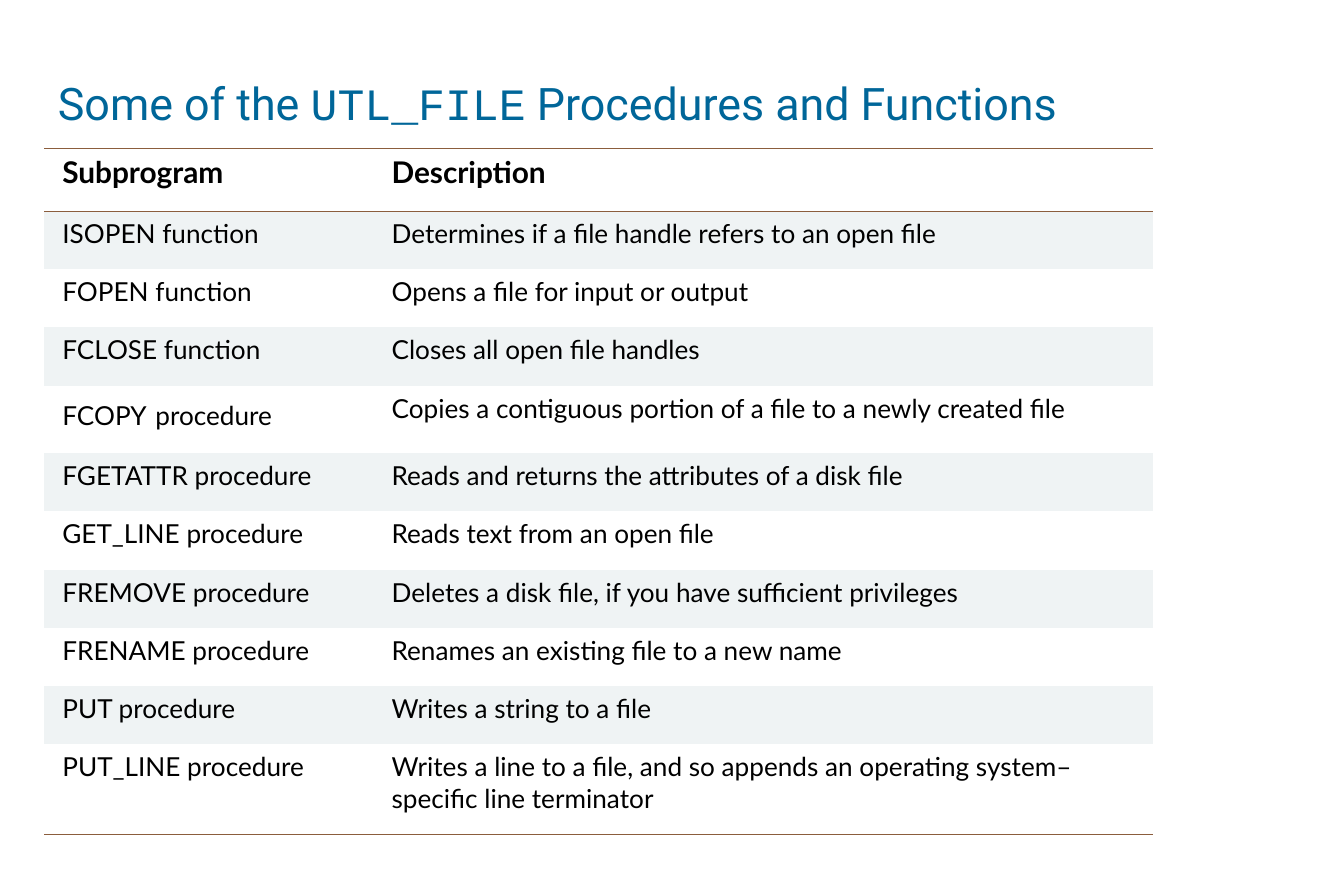
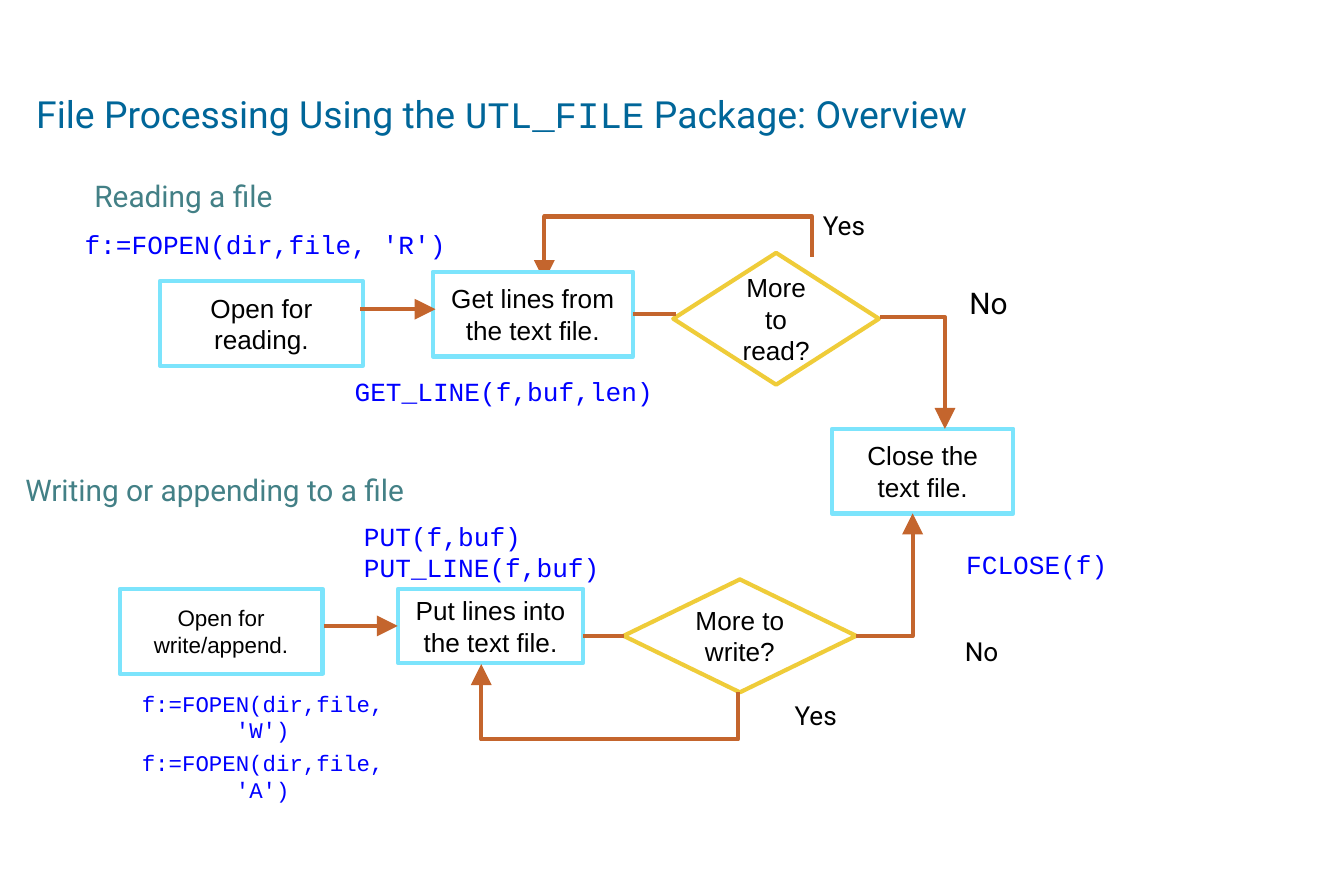
from dataclasses import dataclass

from lxml import etree
from pptx import Presentation
from pptx.dml.color import RGBColor
from pptx.enum.shapes import MSO_CONNECTOR, MSO_SHAPE
from pptx.enum.text import MSO_ANCHOR, MSO_AUTO_SIZE, PP_ALIGN
from pptx.oxml.ns import qn
from pptx.util import Pt

RECT, CHOICE = MSO_SHAPE.RECTANGLE, MSO_SHAPE.FLOWCHART_DECISION
STRAIGHT = MSO_CONNECTOR.STRAIGHT
LEFT, CENTER = PP_ALIGN.LEFT, PP_ALIGN.CENTER
MIDDLE = MSO_ANCHOR.MIDDLE
NO_FIT, GROW = MSO_AUTO_SIZE.NONE, MSO_AUTO_SIZE.SHAPE_TO_FIT_TEXT
SIDE_LEFT, SIDE_RIGHT = 1, 3
PLAIN_TABLE = "{2D5ABB26-0587-4C30-8999-92F81FD0307C}"


@dataclass(frozen=True)
class Theme:
    title: str = "006699"
    head: str = "438086"
    code: str = "0000FF"
    ink: str = "000000"
    paper: str = "FFFFFF"
    band: str = "EFF3F4"
    rule: str = "8B5D3D"
    step: str = "7CE4FC"
    choice: str = "EFCC39"
    arrow: str = "C4652D"
    sans: str = "Roboto"
    cell: str = "Lato"
    shape: str = "Arial"
    mono: str = "Courier New"
    small: float = 12
    body: float = 14
    large: float = 16
    wide: float = 18
    stroke: float = 2.25
    hair: float = 0.45


T = Theme()

TABLE = [
    ("Subprogram", "Description"),
    ("ISOPEN function", "Determines if a file handle refers to an open file"),
    ("FOPEN function", "Opens a file for input or output"),
    ("FCLOSE function", "Closes all open file handles"),
    ("FCOPY procedure",
     "Copies a contiguous portion of a file to a newly created file"),
    ("FGETATTR procedure", "Reads and returns the attributes of a disk file"),
    ("GET_LINE procedure", "Reads text from an open file"),
    ("FREMOVE procedure",
     "Deletes a disk file, if you have sufficient privileges"),
    ("FRENAME procedure", "Renames an existing file to a new name"),
    ("PUT procedure", "Writes a string to a file"),
    ("PUT_LINE procedure",
     "Writes a line to a file, and so appends an operating "
     "system–specific line terminator"),
]
HEIGHTS = {0: 33.8, 4: 36.2, 10: 48.5}
ROW = 31.2
COLS = (176.4, 417.6)


def rgb(code):
    return RGBColor.from_string(code)


def style(para, font, size, color, bold=False):
    for run in para.runs:
        run.font.name = font
        run.font.size = Pt(size)
        run.font.color.rgb = rgb(color)
        run.font.bold = bold


def place(box, x, y, w, h):
    """Turn a spot inside a box into slide lengths."""
    return Pt(box[0] + x), Pt(box[1] + y), Pt(w), Pt(h)


def title(slide, box, parts, size):
    """Fill the title; every second part is set as code."""
    shape = slide.shapes.title
    shape.left, shape.top, shape.width, shape.height = map(Pt, box)
    frame = shape.text_frame
    frame.auto_size, frame.vertical_anchor = NO_FIT, MIDDLE
    para = frame.paragraphs[0]
    para.alignment = LEFT
    for text in parts:
        para.add_run().text = text
    style(para, T.sans, size, T.title)
    for run in para.runs[1::2]:
        run.font.name = T.mono


def border(cell, tag):
    props = cell._tc.get_or_add_tcPr()
    line = etree.SubElement(props, qn(tag), w=str(Pt(T.hair)))
    fill = etree.SubElement(line, qn("a:solidFill"))
    etree.SubElement(fill, qn("a:srgbClr"), val=T.rule)


def fill_cell(cell, text, row, last):
    cell.margin_left = cell.margin_right = Pt(9.6)
    cell.margin_top = cell.margin_bottom = Pt(3.6)
    if row == 0:
        border(cell, "a:lnT")
    if row in (0, last):
        border(cell, "a:lnB")
    if row % 2:
        cell.fill.solid()
        cell.fill.fore_color.rgb = rgb(T.band)
    else:
        cell.fill.background()
    para = cell.text_frame.paragraphs[0]
    para.text = text
    style(para, T.cell, T.body if row else T.large, T.ink, row == 0)


def widen(para):
    """Enlarge the space between the two words of a cell."""
    first, last = para.text.split()
    para.text = first
    for text in (" ", last):
        para.add_run().text = text
    style(para, T.cell, T.body, T.ink)
    para.runs[1].font.size = Pt(T.wide)


def table(slide, box):
    frame = slide.shapes.add_table(len(TABLE), len(COLS), *map(Pt, box))
    grid = frame.table
    grid.first_row = grid.horz_banding = False
    grid._tbl.tblPr.find(qn("a:tableStyleId")).text = PLAIN_TABLE
    for col, width in zip(grid.columns, COLS):
        col.width = Pt(width)
    for r, texts in enumerate(TABLE):
        grid.rows[r].height = Pt(HEIGHTS.get(r, ROW))
        for c, text in enumerate(texts):
            fill_cell(grid.cell(r, c), text, r, len(TABLE) - 1)
    widen(grid.cell(4, 0).text_frame.paragraphs[0])


def node(slide, spot, text, kind=RECT, size=T.body):
    shape = slide.shapes.add_shape(kind, *spot)
    shape.shadow.inherit = False
    shape.fill.solid()
    shape.fill.fore_color.rgb = rgb(T.paper)
    shape.line.color.rgb = rgb(T.choice if kind == CHOICE else T.step)
    shape.line.width = Pt(T.stroke)
    frame = shape.text_frame
    frame.word_wrap, frame.vertical_anchor = True, MIDDLE
    para = frame.paragraphs[0]
    para.text = text
    para.alignment = CENTER
    style(para, T.shape, size, T.ink)
    return shape


def label(slide, spot, lines, font=T.sans, size=T.body, color=T.ink,
          align=CENTER, wrap=False):
    frame = slide.shapes.add_textbox(*spot).text_frame
    frame.text = lines
    frame.word_wrap, frame.auto_size = wrap, GROW
    for i, para in enumerate(frame.paragraphs):
        para.alignment = align
        if i:
            para.space_before = Pt(3)
        style(para, font, size, color)


def code(slide, spot, lines, **look):
    label(slide, spot, lines, T.mono, color=T.code, **look)


def head(slide, spot, text, align=CENTER):
    label(slide, spot, text, size=T.large, color=T.head, align=align)


def ink(shape, tip):
    shape.line.color.rgb = rgb(T.arrow)
    shape.line.width = Pt(T.stroke)
    if tip:
        line = shape._element.spPr.find(qn("a:ln"))
        etree.SubElement(line, qn("a:tailEnd"),
                         type="triangle", w="lg", len="lg")


def link(slide, box, x, y, end, tip=False):
    """Draw a level connector from x to end."""
    left, top, right, _ = place(box, x, y, box[0] + end, 0)
    line = slide.shapes.add_connector(STRAIGHT, left, top, right, top)
    ink(line, tip)
    etree.SubElement(line._element.spPr, qn("a:effectLst"))
    return line


def route(slide, box, *points):
    """Draw a bent arrow through the points."""
    spots = [place(box, x, y, 0, 0)[:2] for x, y in points]
    pen = slide.shapes.build_freeform(*spots[0])
    pen.add_line_segments(spots[1:], close=False)
    shape = pen.convert_to_shape()
    shape.shadow.inherit = False
    shape.fill.background()
    ink(shape, True)


def read_lane(slide, box):
    head(slide, place(box, 4.3, 1.4, 115.9, 26.6), "Reading a file")
    code(slide, place(box, 0.7, 28.8, 211, 24.5), "f:=FOPEN(dir,file, 'R')")
    route(slide, box, (398.9, 47.5), (398.9, 25.9), (255.6, 25.9),
          (255.6, 60.5))
    node(slide, place(box, 49.7, 60.5, 108.7, 45.4), "Open for\vreading.")
    get = node(slide, place(box, 195.8, 55.5, 107.3, 45.5),
               "Get lines from\vthe text file.")
    node(slide, place(box, 324.7, 45.4, 110.2, 70.6), "More to read?", CHOICE)
    link(slide, box, 157, 75.6, 197.3, True)
    link(slide, box, 303.1, 78.25, 326.2).begin_connect(get, SIDE_RIGHT)
    code(slide, place(box, 145, 107.3, 178, 24.5), "GET_LINE(f,buf,len)")
    label(slide, place(box, 397.4, 18.7, 37.4, 23.8), "Yes")


def write_lane(slide, box):
    head(slide, place(box, 6.5, 4.1, 234.7, 26.6),
         "Writing or appending to a file", LEFT)
    code(slide, place(box, 187.9, 30, 145, 41),
         "PUT(f,buf)\vPUT_LINE(f,buf)", align=LEFT)
    node(slide, place(box, 64.1, 70.4, 108.7, 45.4),
         "Open for\vwrite/append.", size=T.small)
    put = node(slide, place(box, 213.1, 70.4, 99.4, 39.6),
               "Put lines into\vthe text file.")
    more = node(slide, place(box, 334.1, 65.3, 124.6, 60.5),
                "More to write?", CHOICE)
    link(slide, box, 173.5, 90.2, 213.1, True).end_connect(put, SIDE_LEFT)
    link(slide, box, 312.5, 95.55, 334.1).end_connect(more, SIDE_LEFT)
    route(slide, box, (395.3, 125.8), (395.3, 151), (257.8, 151),
          (257.8, 110.7))
    code(slide, place(box, 67.7, 120.8, 146.2, 67.7),
         "f:=FOPEN(dir,file,'W')\nf:=FOPEN(dir,file,'A')",
         size=T.small, wrap=True)
    label(slide, place(box, 418.3, 125.8, 37.4, 23.8), "Yes")


def close_lane(slide, box):
    node(slide, place(box, 5.7, 84.7, 97.2, 45.4), "Close the\vtext file.")
    route(slide, box, (31.6, 24.9), (66.2, 24.9), (66.2, 84.7))
    route(slide, box, (18.6, 195.6), (48.9, 195.6), (48.9, 130))
    label(slide, place(box, 71.2, 4, 36.7, 26.6), "No", size=T.large)
    label(slide, place(box, 69, 192, 33.8, 23.8), "No")
    code(slide, place(box, 68.5, 145.2, 94, 24.5), "FCLOSE(f)")


def main():
    deck = Presentation()
    deck.slide_width, deck.slide_height = Pt(720), Pt(470.2)
    layout = deck.slide_layouts[5]

    slide = deck.slides.add_slide(layout)
    title(slide, (23.8, 43.2, 576, 23.8),
          ("Some of the ", "UTL_FILE", " Procedures and Functions"), 24)
    table(slide, (23.8, 79.2, 594, 367.2))

    slide = deck.slides.add_slide(layout)
    title(slide, (12.2, 31, 594, 59.8),
          ("File Processing Using the ", "UTL_FILE", " Package: Overview"), 20)
    read_lane(slide, (36, 90, 440, 135))
    write_lane(slide, (0, 245, 460, 190))
    close_lane(slide, (440, 145, 165, 220))
    deck.save("out.pptx")


if __name__ == "__main__":
    main()
